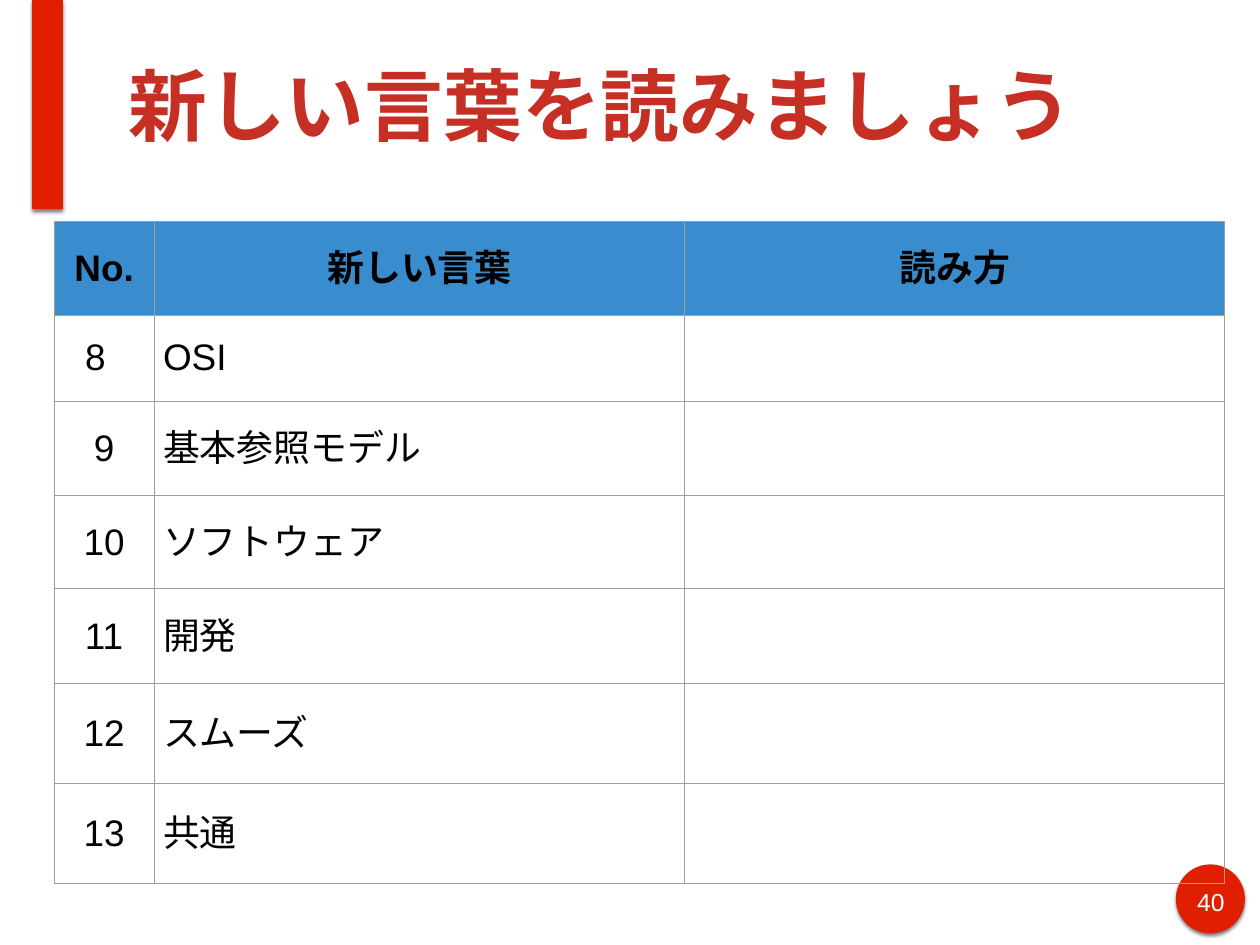
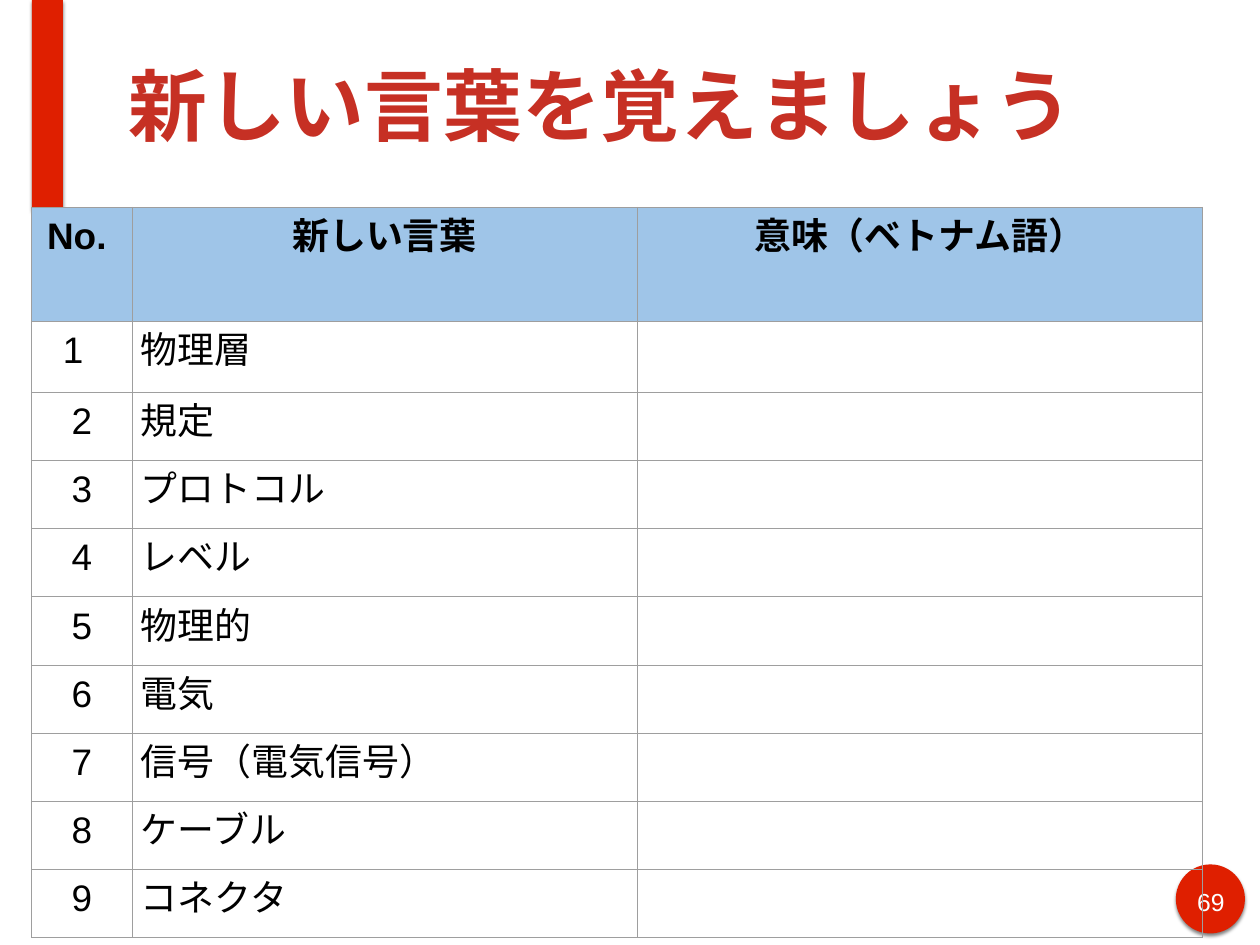
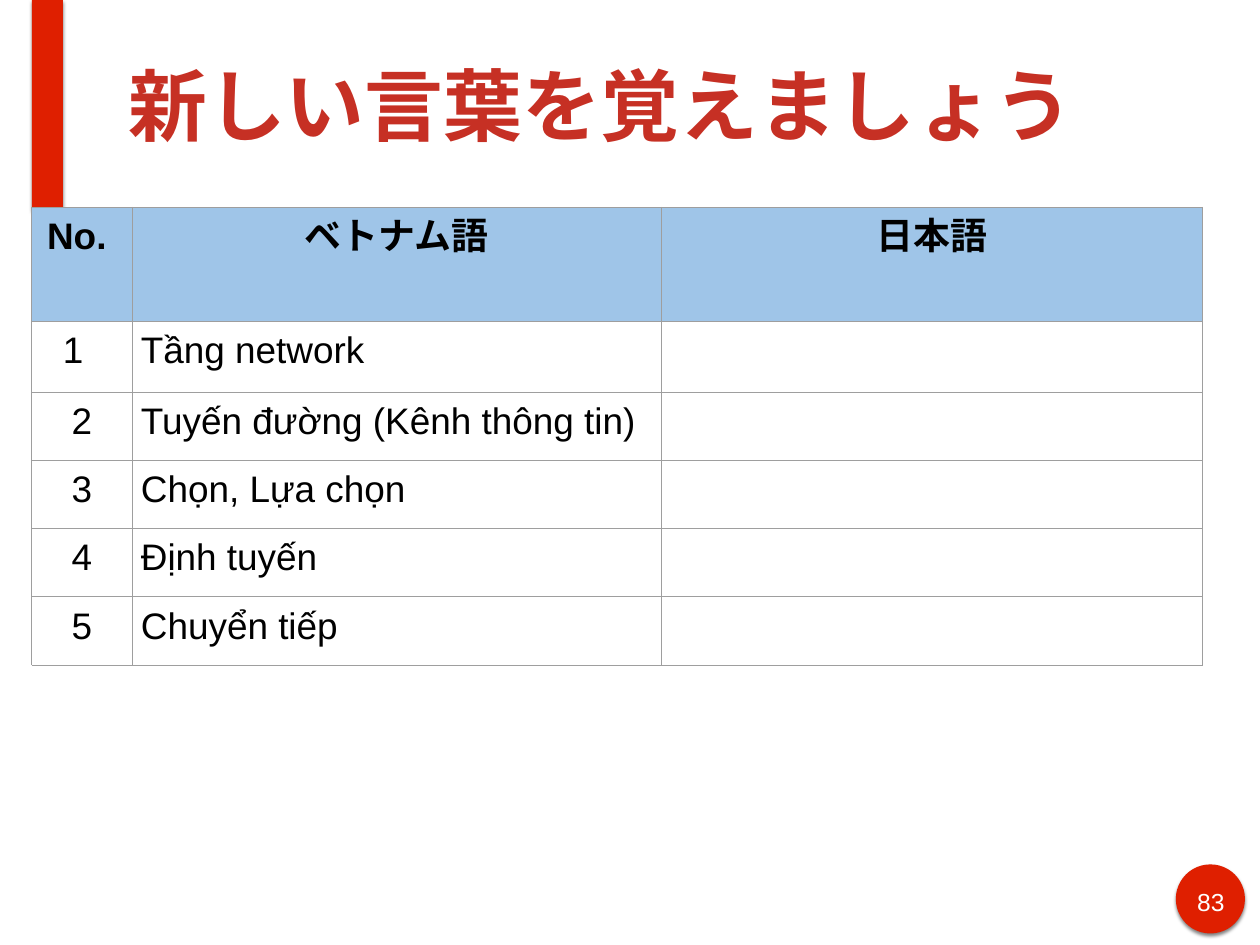
from lxml.etree import SubElement
from pptx import Presentation
from pptx.dml.color import RGBColor
from pptx.enum.lang import MSO_LANGUAGE_ID as Lang
from pptx.enum.shapes import MSO_SHAPE as Shape
from pptx.enum.text import MSO_ANCHOR as Anchor, MSO_AUTO_SIZE as AutoSize, PP_ALIGN as Align
from pptx.oxml import parse_xml
from pptx.oxml.ns import nsdecls, qn
from pptx.util import Inches, Pt

COLOURS = {
    "accent": "DF1F00",
    "title": "C63024",
    "text": "000000",
    "inverse": "FFFFFF",
    "grid": "9E9E9E",
    "reading_header": "398CCE",
    "meaning_header": "9FC5E8",
}
PLAIN_TABLE_STYLE = "{2D5ABB26-0587-4C30-8999-92F81FD0307C}"
MEANING_ROWS = [1.29, 0.8]
STANDARD_ROW = 0.77


def set_all(target, values):
    for name, value in values.items():
        setattr(target, name, value)


def margins(size):
    return {f"margin_{side}": Inches(size) for side in ("left", "top", "right", "bottom")}


class VocabularyDeck:
    font_name = "Arial"
    title_font = {"size": Pt(64), "bold": True}
    number_font = {"size": Pt(20), "bold": False}
    header_font = {"size": Pt(30), "bold": True}
    body_font = {"size": Pt(30), "bold": False}
    frame_format = {**margins(0.06), "word_wrap": True, "auto_size": AutoSize.NONE}

    def __init__(self):
        self.prs = Presentation()
        self.prs.slide_width = Inches(14.22)
        self.prs.slide_height = Inches(10.67)
        self.slide = None

    def colour(self, key):
        return RGBColor.from_string(COLOURS[key])

    def add_text(self, paragraph, text, font, colour="text", align=Align.LEFT, language=Lang.JAPANESE):
        paragraph.alignment = align
        run = paragraph.add_run()
        run.text = text
        run.font.color.rgb = self.colour(colour)
        set_all(run.font, {**font, "name": self.font_name, "language_id": language})
        SubElement(run._r.get_or_add_rPr(), qn("a:ea"), typeface=self.font_name)

    def new_slide(self, heading, number):
        self.slide = self.prs.slides.add_slide(self.prs.slide_layouts[5])
        self.title(heading)
        self.accent(Shape.OVAL, 13.27, 9.76, 0.78, 0.78)
        self.accent(Shape.RECTANGLE, 0.36, 0, 0.35, 2.36)
        self.page_number(number)

    def title(self, heading):
        title = self.slide.shapes.title
        set_all(title, {"left": Inches(1.39), "top": Inches(0.12),
                        "width": Inches(12.14), "height": Inches(2.12)})
        frame = title.text_frame
        set_all(frame, {**self.frame_format, "vertical_anchor": Anchor.MIDDLE})
        self.add_text(frame.paragraphs[0], heading, self.title_font, "title")

    def accent(self, kind, *box):
        mark = self.slide.shapes.add_shape(kind, *map(Inches, box))
        mark.fill.solid()
        mark.fill.fore_color.rgb = self.colour("accent")
        mark.line.fill.background()
        mark._element.spPr.append(parse_xml(
            f'<a:effectLst {nsdecls("a")}>'
            f'<a:outerShdw blurRad="{Pt(3)}" dist="{Pt(2)}" dir="5400000" rotWithShape="0">'
            f'<a:srgbClr val="{COLOURS["text"]}"><a:alpha val="50000"/></a:srgbClr>'
            '</a:outerShdw></a:effectLst>'))

    def page_number(self, number):
        frame = self.slide.shapes.add_textbox(*map(Inches, (13.42, 9.95, 0.49, 0.39))).text_frame
        set_all(frame, self.frame_format)
        self.add_text(frame.paragraphs[0], str(number), self.number_font, "inverse", Align.CENTER)

    def borders(self, cell):
        properties = cell._tc.get_or_add_tcPr()
        for side in ("lnL", "lnR", "lnT", "lnB"):
            properties.append(parse_xml(
                f'<a:{side} {nsdecls("a")} w="{Pt(0.75)}"><a:solidFill>'
                f'<a:srgbClr val="{COLOURS["grid"]}"/></a:solidFill></a:{side}>'))

    def vocabulary(self, position, widths, heights, headings, words, header_colour,
                   first=1, anchor=Anchor.TOP, language=Lang.JAPANESE):
        table = self.slide.shapes.add_table(
            len(heights), len(widths), *map(Inches, (*position, sum(widths), sum(heights)))).table
        set_all(table, {"first_row": False, "horz_banding": False})
        table._tbl.tblPr.find(qn("a:tableStyleId")).text = PLAIN_TABLE_STYLE
        for column, width in zip(table.columns, widths):
            column.width = Inches(width)
        for row, height in zip(table.rows, heights):
            row.height = Inches(height)
        for cell in table.iter_cells():
            set_all(cell, {**margins(0.1), "vertical_anchor": anchor})
            self.borders(cell)
            cell.fill.background()
        for column, heading in enumerate(headings):
            cell = table.cell(0, column)
            cell.fill.solid()
            cell.fill.fore_color.rgb = self.colour(header_colour)
            self.add_text(cell.text_frame.paragraphs[0], heading, self.header_font, align=Align.CENTER)
        for row, word in enumerate(words, 1):
            number, term = (table.cell(row, column).text_frame.paragraphs[0] for column in (0, 1))
            self.add_text(number, str(first + row - 1), self.body_font,
                          align=Align.LEFT if row == 1 else Align.CENTER)
            self.add_text(term, word, self.body_font, language=language)
        indent = table.cell(1, 0).text_frame.paragraphs[0]._p.get_or_add_pPr()
        indent.set("marL", str(Inches(0.5)))
        indent.set("indent", str(Inches(-0.25)))


def main():
    deck = VocabularyDeck()

    deck.new_slide("新しい言葉を読みましょう", 40)
    deck.vocabulary(
        (0.61, 2.5), [1.13, 5.99, 6.09], [1.06, 0.97, 1.07, 1.05, 1.07, 1.13, 1.13],
        ["No.", "新しい言葉", "読み方"],
        ["OSI", "基本参照モデル", "ソフトウェア", "開発", "スムーズ", "共通"],
        "reading_header", first=8, anchor=Anchor.MIDDLE)

    deck.new_slide("新しい言葉を覚えましょう", 69)
    deck.vocabulary(
        (0.36, 2.34), [1.13, 5.7, 6.38], MEANING_ROWS + [STANDARD_ROW] * 8,
        ["No. ", "新しい言葉", "意味（ベトナム語）"],
        ["物理層", "規定", "プロトコル", "レベル", "物理的", "電気", "信号（電気信号）",
         "ケーブル", "コネクタ"],
        "meaning_header")

    deck.new_slide("新しい言葉を覚えましょう", 83)
    deck.vocabulary(
        (0.36, 2.34), [1.13, 5.97, 6.11], MEANING_ROWS + [STANDARD_ROW] * 4,
        ["No. ", "ベトナム語", "日本語"],
        ["Tầng network", "Tuyến đường (Kênh thông tin)", "Chọn, Lựa chọn", "Định tuyến",
         "Chuyển tiếp"],
        "meaning_header", language=Lang.VIETNAMESE)

    deck.prs.save("out.pptx")


if __name__ == "__main__":
    main()
